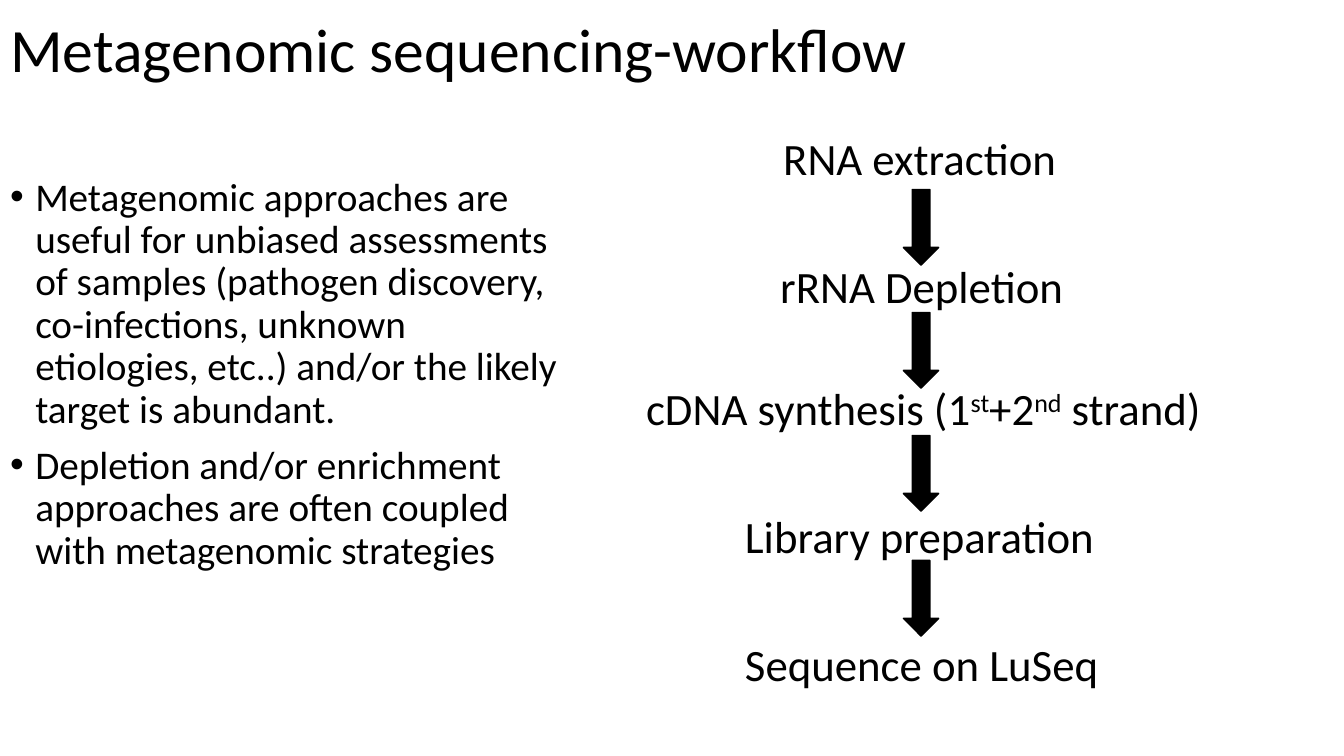
from pptx import Presentation
from pptx.dml.color import RGBColor
from pptx.enum.shapes import MSO_SHAPE
from pptx.enum.text import MSO_ANCHOR, MSO_AUTO_SIZE, PP_ALIGN
from pptx.util import Inches, Pt

DOWN_ARROW = MSO_SHAPE.DOWN_ARROW
TOP, MIDDLE = MSO_ANCHOR.TOP, MSO_ANCHOR.MIDDLE
NO_FIT, FIT_SHAPE = MSO_AUTO_SIZE.NONE, MSO_AUTO_SIZE.SHAPE_TO_FIT_TEXT
LEFT = PP_ALIGN.LEFT

COLORS = {"ink": "000000"}
FONT_NAME = "Calibri"
SUPERSCRIPT = "30000"

TITLE = "Metagenomic sequencing-workflow"
BULLETS = [
    "Metagenomic approaches are useful for unbiased assessments of samples "
    "(pathogen discovery, co-infections, unknown etiologies, etc..) and/or "
    "the likely target is abundant.",
    "Depletion and/or enrichment approaches are often coupled with "
    "metagenomic strategies",
]
# Each step: left, top and width within the workflow box, then its text pieces;
# every second piece is superscript
STEPS = [
    (1.36, 0, 2.94, ["RNA extraction"]),
    (1.33, 1.27, 3.04, ["rRNA Depletion"]),
    (0, 2.48, 5.83, ["cDNA synthesis (1", "st", "+2", "nd", " strand)"]),
    (0.98, 3.75, 3.7, ["Library preparation"]),
    (0.98, 5.02, 3.81, ["Sequence on LuSeq"]),
]
STEP_HEIGHT = 0.64
ARROW_TOPS = [0.63, 1.85, 3.07, 4.31]
ARROW_LEFT, ARROW_WIDTH, ARROW_HEIGHT = 2.65, 0.35, 0.75


def apply_format(target, values):
    for name, value in values.items():
        setattr(target, name, value)


def place(shape, box):
    names = ("left", "top", "width", "height")
    apply_format(shape, dict(zip(names, map(Inches, box))))


def ink():
    return RGBColor.from_string(COLORS["ink"])


def add_run(paragraph, text, size):
    run = paragraph.add_run()
    run.text = text
    apply_format(run.font, {"name": FONT_NAME, "size": Pt(size)})
    run.font.color.rgb = ink()
    return run


def fill_title(shape, box):
    place(shape, box)
    apply_format(shape.text_frame, {
        "word_wrap": True, "auto_size": NO_FIT, "vertical_anchor": MIDDLE})
    paragraph = shape.text_frame.paragraphs[0]
    apply_format(paragraph, {"alignment": LEFT, "line_spacing": 0.9})
    add_run(paragraph, TITLE, 44)


def fill_bullets(shape, box):
    place(shape, box)
    frame = shape.text_frame
    apply_format(frame, {
        "word_wrap": True, "auto_size": NO_FIT, "vertical_anchor": TOP})
    for index, text in enumerate(BULLETS):
        paragraph = frame.add_paragraph() if index else frame.paragraphs[0]
        apply_format(paragraph, {
            "alignment": LEFT, "line_spacing": 0.9, "space_before": Pt(10)})
        add_run(paragraph, text, 28)
        # Hanging indent for the bullet
        properties = paragraph._p.get_or_add_pPr()
        properties.set("marL", str(Inches(0.25)))
        properties.set("indent", str(Inches(-0.25)))


def add_workflow(slide, left, top):
    # Step labels
    for step_left, step_top, width, pieces in STEPS:
        label = slide.shapes.add_textbox(
            Inches(left + step_left), Inches(top + step_top),
            Inches(width), Inches(STEP_HEIGHT))
        apply_format(label.text_frame, {
            "word_wrap": False, "auto_size": FIT_SHAPE})
        for index, piece in enumerate(pieces):
            run = add_run(label.text_frame.paragraphs[0], piece, 32)
            if index % 2:
                run._r.get_or_add_rPr().set("baseline", SUPERSCRIPT)

    # Arrows between the steps
    for arrow_top in ARROW_TOPS:
        arrow = slide.shapes.add_shape(
            DOWN_ARROW, Inches(left + ARROW_LEFT), Inches(top + arrow_top),
            Inches(ARROW_WIDTH), Inches(ARROW_HEIGHT))
        arrow.shadow.inherit = False
        arrow.fill.solid()
        arrow.fill.fore_color.rgb = ink()
        arrow.line.color.rgb = ink()
        arrow.line.width = Pt(1)


def main():
    presentation = Presentation()
    apply_format(presentation, {
        "slide_width": Inches(13.33), "slide_height": Inches(7.5)})
    slide = presentation.slides.add_slide(presentation.slide_layouts[1])
    fill_title(slide.shapes.title, (0, -0.2, 11.5, 1.45))
    fill_bullets(slide.placeholders[1], (0, 1.71, 5.67, 4.76))
    add_workflow(slide, 6.31, 1.25)
    presentation.save("out.pptx")


if __name__ == "__main__":
    main()
